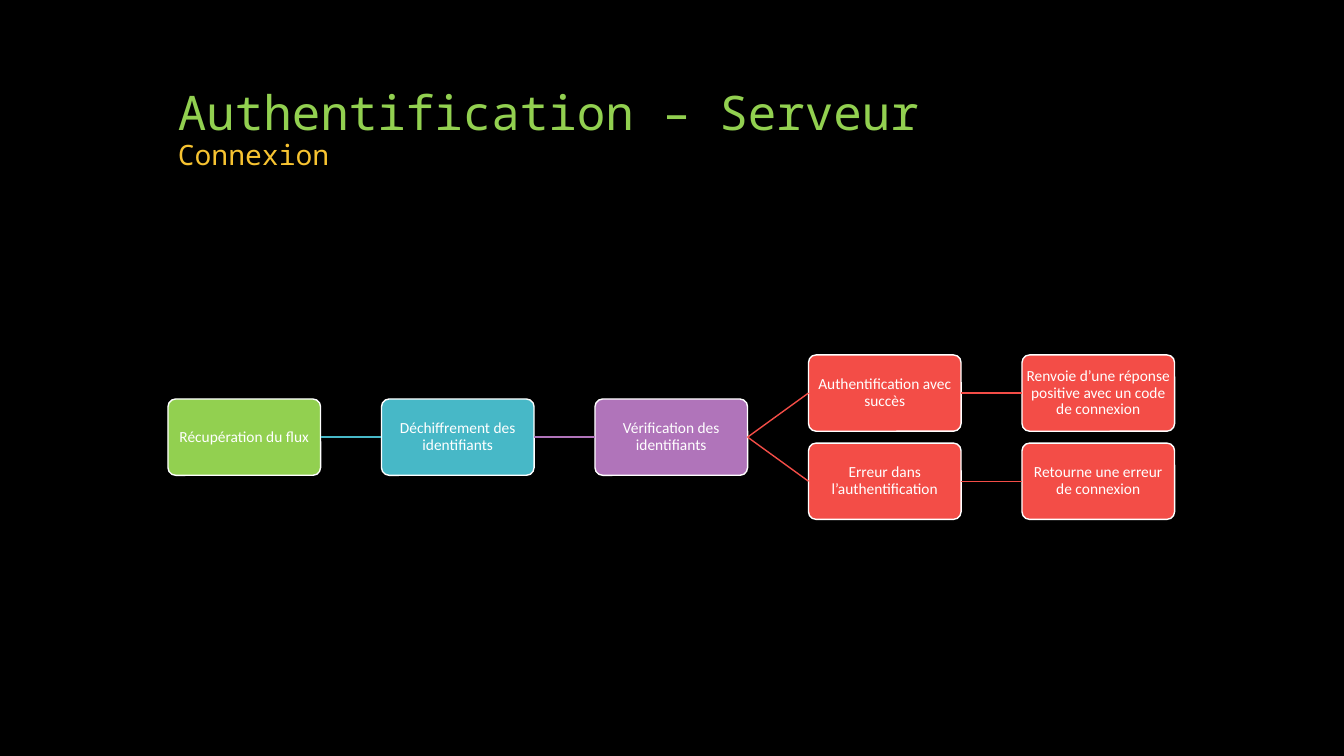
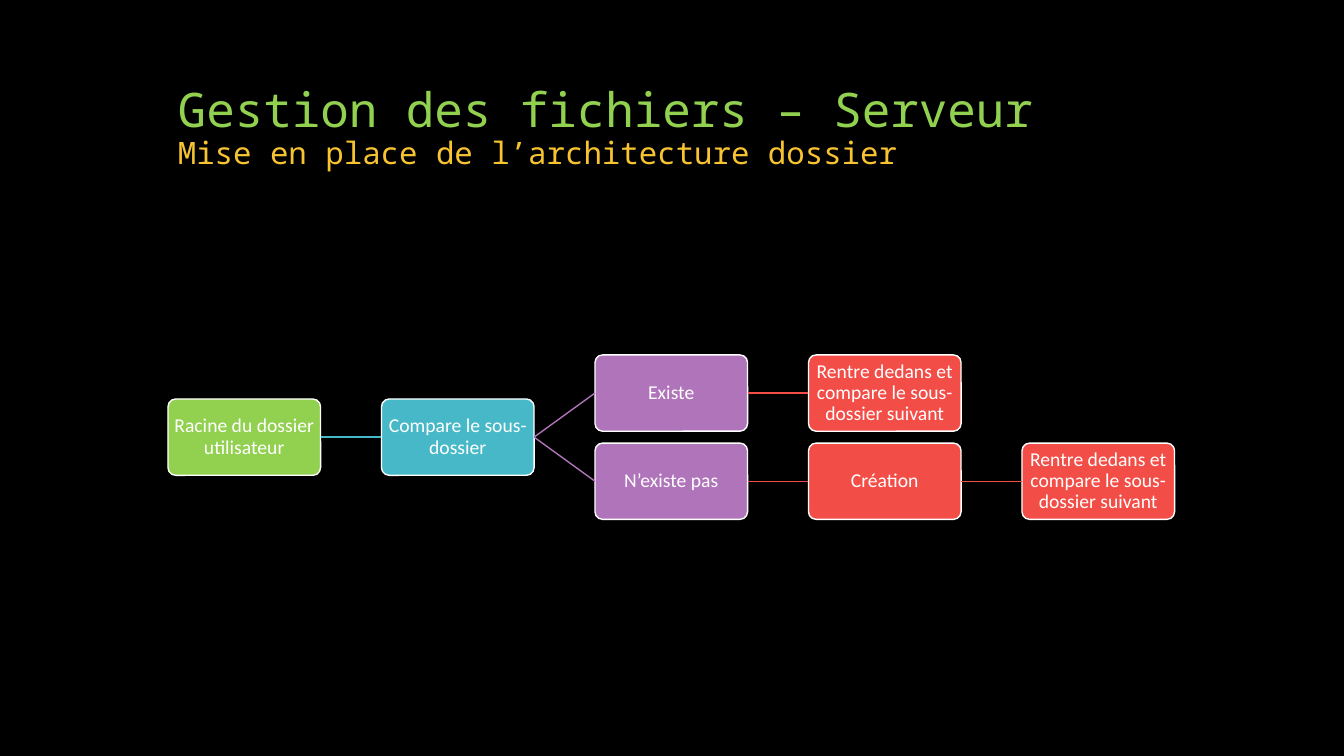
from dataclasses import dataclass
from typing import Any

from pptx import Presentation
from pptx.dml.color import RGBColor as Rgb
from pptx.enum.shapes import MSO_CONNECTOR as Connector
from pptx.enum.shapes import MSO_SHAPE as Preset
from pptx.enum.text import MSO_ANCHOR as Anchor
from pptx.enum.text import PP_ALIGN as Align
from pptx.oxml.ns import qn
from pptx.oxml.xmlchemy import OxmlElement
from pptx.shapes.autoshape import Shape
from pptx.slide import Slide
from pptx.util import Emu, Pt

BLANK_LAYOUT = 6
LEFT_SITE, RIGHT_SITE = 1, 3


def px(count: int) -> Emu:
    return Emu(count * 6350)


def rgb(value: str) -> Rgb:
    return Rgb.from_string(value)


@dataclass(frozen=True)
class Theme:
    background: str = "000000"
    title: str = "92D050"
    subtitle: str = "F7C331"
    outline: str = "FFFFFF"
    levels: tuple[str, ...] = ("92D050", "47B8C7", "B074BA", "F34D47", "F34D47")
    title_font: str = "Noto Sans Mono"
    step_font: str = "Calibri"
    title_size: int = 34
    line_width: int = 1
    line_spacing: float = 0.9
    corner: float = 0.1


@dataclass(frozen=True)
class Grid:
    left: int = 240
    middle: int = 624
    width: int = 218
    height: int = 109
    column_pitch: int = 305
    branch_offset: int = 63


@dataclass(frozen=True)
class Step:
    text: str
    branch: int = 0
    following: tuple["Step", ...] = ()


@dataclass(frozen=True)
class Flow:
    title: str
    subtitle: str
    subtitle_size: int
    step_size: int
    root: Step


THEME = Theme()
GRID = Grid()

FLOWS = (
    Flow(
        "Authentification – Serveur", "Connexion", 20, 11,
        Step("Récupération du flux", following=(
            Step("Déchiffrement des identifiants", following=(
                Step("Vérification des identifiants", following=(
                    Step("Authentification avec succès", -1, (
                        Step("Renvoie d’une réponse positive avec un code de connexion", -1),
                    )),
                    Step("Erreur dans l’authentification", 1, (
                        Step("Retourne une erreur de connexion", 1),
                    )),
                )),
            )),
        )),
    ),
    Flow(
        "Gestion des fichiers – Serveur", "Mise en place de l’architecture dossier", 22, 14,
        Step("Racine du dossier utilisateur", following=(
            Step("Compare le sous-dossier", following=(
                Step("Existe", -1, (
                    Step("Rentre dedans et compare le sous-dossier suivant", -1),
                )),
                Step("N’existe pas", 1, (
                    Step("Création", 1, (
                        Step("Rentre dedans et compare le sous-dossier suivant", 1),
                    )),
                )),
            )),
        )),
    ),
)


def assign(target: Any, values: dict[str, Any]) -> None:
    for name, value in values.items():
        setattr(target, name, value)


def add_span(para: Any, text: str, font: str, size: int, colour: str) -> None:
    span = para.add_run()
    span.text = text
    assign(span.font, {"name": font, "size": Pt(size)})
    span.font.color.rgb = rgb(colour)


def add_title(page: Slide, flow: Flow) -> None:
    box = page.shapes.add_textbox(px(240), px(72), px(1440), px(180))
    assign(box.text_frame, {"word_wrap": True, "vertical_anchor": Anchor.BOTTOM})
    para = box.text_frame.paragraphs[0]
    para.line_spacing = THEME.line_spacing
    add_span(para, flow.title, THEME.title_font, THEME.title_size, THEME.title)
    para.add_line_break()
    add_span(para, flow.subtitle, THEME.title_font, flow.subtitle_size, THEME.subtitle)


def add_box(page: Slide, step: Step, level: int, size: int) -> Shape:
    left = GRID.left + level * GRID.column_pitch
    top = GRID.middle + step.branch * GRID.branch_offset - GRID.height // 2
    box = page.shapes.add_shape(
        Preset.ROUNDED_RECTANGLE, px(left), px(top), px(GRID.width), px(GRID.height)
    )
    box.adjustments[0] = THEME.corner
    box.shadow.inherit = False
    box.fill.solid()
    box.fill.fore_color.rgb = rgb(THEME.levels[level])
    box.line.color.rgb = rgb(THEME.outline)
    box.line.width = Pt(THEME.line_width)
    frame = box.text_frame
    margins = {f"margin_{side}": px(1) for side in ("left", "right", "top", "bottom")}
    assign(frame, {"word_wrap": True, "vertical_anchor": Anchor.MIDDLE, **margins})
    para = frame.paragraphs[0]
    assign(para, {"alignment": Align.CENTER, "line_spacing": THEME.line_spacing})
    add_span(para, step.text, THEME.step_font, size, THEME.outline)
    return box


def add_link(page: Slide, start: Shape, end: Shape, colour: str) -> None:
    link = page.shapes.add_connector(Connector.STRAIGHT, 0, 0, 0, 0)
    link.begin_connect(start, RIGHT_SITE)
    link.end_connect(end, LEFT_SITE)
    link.line.color.rgb = rgb(colour)
    link.line.width = Pt(THEME.line_width)
    link._element.find(qn("p:spPr")).append(OxmlElement("a:effectLst"))


def add_steps(page: Slide, step: Step, size: int, level: int = 0) -> Shape:
    box = add_box(page, step, level, size)
    for child in step.following:
        child_box = add_steps(page, child, size, level + 1)
        add_link(page, box, child_box, THEME.levels[level + 1])
    return box


def main() -> None:
    deck = Presentation()
    assign(deck, {"slide_width": px(1920), "slide_height": px(1080)})
    backdrop = deck.slide_master.background.fill
    backdrop.solid()
    backdrop.fore_color.rgb = rgb(THEME.background)
    for flow in FLOWS:
        page = deck.slides.add_slide(deck.slide_layouts[BLANK_LAYOUT])
        add_title(page, flow)
        add_steps(page, flow.root, flow.step_size)
    deck.save("out.pptx")


if __name__ == "__main__":
    main()
